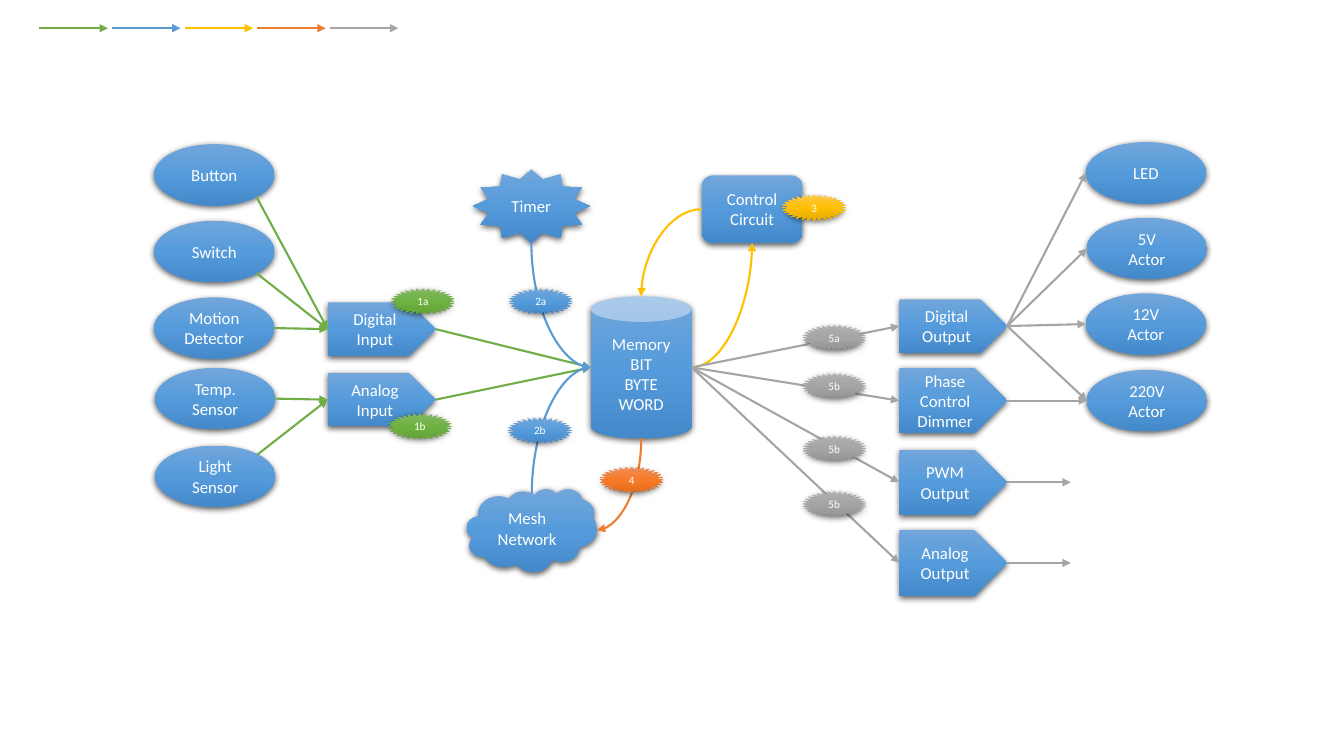
from copy import deepcopy

from lxml.etree import SubElement
from pptx import Presentation
from pptx.dml.color import RGBColor
from pptx.enum.shapes import MSO_CONNECTOR, MSO_SHAPE
from pptx.enum.text import MSO_ANCHOR, PP_ALIGN
from pptx.oxml.ns import qn
from pptx.util import Inches, Pt

WHITE = RGBColor(0xFF, 0xFF, 0xFF)

# Line colours
GREEN = RGBColor(0x70, 0xAD, 0x47)
BLUE = RGBColor(0x5B, 0x9B, 0xD5)
YELLOW = RGBColor(0xFF, 0xC0, 0x00)
ORANGE = RGBColor(0xED, 0x7D, 0x31)
GREY = RGBColor(0xA5, 0xA5, 0xA5)

# Top, middle and bottom of each gradient fill
GRADIENTS = {
    GREEN: (RGBColor(0x81, 0xB8, 0x61), RGBColor(0x6F, 0xB2, 0x42), RGBColor(0x62, 0xA3, 0x36)),
    BLUE: (RGBColor(0x71, 0xA6, 0xDB), RGBColor(0x55, 0x9B, 0xDB), RGBColor(0x44, 0x8A, 0xCA)),
    YELLOW: (RGBColor(0xFF, 0xC6, 0x4B), RGBColor(0xFF, 0xC0, 0x00), RGBColor(0xE3, 0xAB, 0x00)),
    ORANGE: (RGBColor(0xF1, 0x8C, 0x57), RGBColor(0xF6, 0x7B, 0x28), RGBColor(0xE5, 0x6C, 0x19)),
    GREY: (RGBColor(0xAF, 0xAF, 0xAF), RGBColor(0xA5, 0xA5, 0xA5), RGBColor(0x93, 0x93, 0x93)),
}


def spot(shape, across, down):
    """Point at a fraction of the shape's width and height."""
    return (int(shape.left + across * shape.width), int(shape.top + down * shape.height))


class Diagram:
    font_name = "Calibri"
    line_width = Pt(1.5)

    def __init__(self, slide):
        self.slide = slide

    def node(self, kind, text, left, top, width, height, color=BLUE, size=12):
        shape = self.slide.shapes.add_shape(
            kind, Inches(left), Inches(top), Inches(width), Inches(height))
        shape.line.fill.background()
        self.shade(shape, color)
        self.cast_shadow(shape)
        frame = shape.text_frame
        frame.word_wrap = True
        frame.vertical_anchor = MSO_ANCHOR.MIDDLE
        for index, line in enumerate(text.split("\n")):
            paragraph = frame.add_paragraph() if index else frame.paragraphs[0]
            paragraph.alignment = PP_ALIGN.CENTER
            run = paragraph.add_run()
            run.text = line
            run.font.name = self.font_name
            run.font.size = Pt(size)
            run.font.color.rgb = WHITE
        return shape

    def shade(self, shape, color):
        shape.fill.gradient()
        shape.fill.gradient_angle = 270
        stop_list = shape._element.spPr.find(".//" + qn("a:gsLst"))
        stop_list.insert(1, deepcopy(stop_list[0]))
        for index, stop in enumerate(shape.fill.gradient_stops):
            stop.position = index / 2
            stop.color.rgb = GRADIENTS[color][index]

    def cast_shadow(self, shape):
        shape.shadow.inherit = False
        effects = shape._element.spPr.find(qn("a:effectLst"))
        shadow = SubElement(effects, qn("a:outerShdw"), blurRad=str(Pt(4.5)),
                            dist=str(Pt(1.5)), dir="5400000", algn="ctr", rotWithShape="0")
        black = SubElement(shadow, qn("a:srgbClr"), val="000000")
        SubElement(black, qn("a:alpha"), val="63000")

    def style_arrow(self, connector, color):
        connector.line.color.rgb = color
        connector.line.width = self.line_width
        SubElement(connector.line._get_or_add_ln(), qn("a:tailEnd"), type="triangle")
        SubElement(connector._element.spPr, qn("a:effectLst"))

    def arrow(self, start, end, color):
        """Straight arrow; each end is a point or a block to join."""
        start_point = start if isinstance(start, tuple) else spot(start, 1, 0.5)
        end_point = end if isinstance(end, tuple) else spot(end, 0, 0.5)
        connector = self.slide.shapes.add_connector(
            MSO_CONNECTOR.STRAIGHT, *start_point, *end_point)
        if start is not start_point:
            connector.begin_connect(start, 3)
        if end is not end_point:
            connector.end_connect(end, 1)
        self.style_arrow(connector, color)

    def curve(self, start, end, color, leaves_vertically=False):
        """Quarter bend; a vertical start is a horizontal one turned by 90 degrees."""
        (x1, y1), (x2, y2) = start, end
        if leaves_vertically:
            middle_x, middle_y = (x1 + x2) // 2, (y1 + y2) // 2
            half_x, half_y = (x2 - x1) // 2, (y2 - y1) // 2
            x1, x2 = middle_x - half_y, middle_x + half_y
            y1, y2 = middle_y + half_x, middle_y - half_x
        connector = self.slide.shapes.add_connector(MSO_CONNECTOR.CURVE, x1, y1, x2, y2)
        properties = connector._element.spPr
        properties.find(qn("a:prstGeom")).set("prst", "curvedConnector2")
        if leaves_vertically:
            properties.find(qn("a:xfrm")).set("rot", "5400000")
        self.style_arrow(connector, color)

    def oval(self, text, left, top):
        return self.node(MSO_SHAPE.OVAL, text, left, top, 1.19, 0.61)

    def block(self, text, left, top, height):
        return self.node(MSO_SHAPE.PENTAGON, text, left, top, 1.07, height)

    def badge(self, text, left, top, color):
        self.node(MSO_SHAPE.STAR_32_POINT, text, left, top, 0.63, 0.26, color, 8)


def main():
    presentation = Presentation()
    presentation.slide_width = Inches(13.33)
    presentation.slide_height = Inches(7.5)
    slide = presentation.slides.add_slide(presentation.slide_layouts[6])
    diagram = Diagram(slide)

    # Inputs
    button = diagram.oval("Button", 1.53, 1.43)
    switch = diagram.oval("Switch", 1.53, 2.19)
    motion = diagram.oval("Motion Detector", 1.53, 2.95)
    temperature = diagram.oval("Temp. Sensor", 1.54, 3.65)
    light = diagram.oval("Light Sensor", 1.54, 4.42)
    digital_input = diagram.block("Digital Input", 3.25, 3, 0.53)
    analog_input = diagram.block("Analog Input", 3.25, 3.7, 0.53)

    # Memory and its partners
    memory = diagram.node(MSO_SHAPE.CAN, "Memory\nBIT\nBYTE\nWORD", 5.86, 2.94, 1, 1.41)
    timer = diagram.node(MSO_SHAPE.STAR_12_POINT, "Timer", 4.69, 1.68, 1.16, 0.73)
    mesh = diagram.node(MSO_SHAPE.CLOUD, "Mesh\nNetwork", 4.63, 4.85, 1.29, 0.82)
    control = diagram.node(MSO_SHAPE.FLOWCHART_ALTERNATE_PROCESS, "Control Circuit",
                           6.96, 1.74, 1, 0.67)

    # Outputs
    digital_output = diagram.block("Digital Output", 8.92, 2.97, 0.53)
    dimmer = diagram.block("Phase Control\nDimmer", 8.92, 3.65, 0.65)
    pwm_output = diagram.block("PWM Output", 8.92, 4.46, 0.65)
    analog_output = diagram.block("Analog Output", 8.92, 5.26, 0.65)
    actors = [diagram.oval(text, left, top) for text, left, top in (
        ("LED", 10.77, 1.41), ("5V\nActor", 10.78, 2.16),
        ("12V\nActor", 10.77, 2.91), ("220V\nActor", 10.78, 3.67))]

    # Input arrows
    memory_in, memory_out = spot(memory, 0, 0.5), spot(memory, 1, 0.5)
    for source, across, down, target in (
            (button, 0.85, 0.85, digital_input), (switch, 0.85, 0.85, digital_input),
            (motion, 1, 0.5, digital_input), (temperature, 1, 0.5, analog_input),
            (light, 0.85, 0.15, analog_input)):
        diagram.arrow(spot(source, across, down), target, GREEN)
    for block in (digital_input, analog_input):
        diagram.arrow(block, memory_in, GREEN)

    # Curves around the memory
    diagram.curve(spot(timer, 0.5, 1), memory_in, BLUE, leaves_vertically=True)
    diagram.curve(spot(mesh, 0.5, 0.06), memory_in, BLUE, leaves_vertically=True)
    diagram.curve(spot(memory, 0.5, 1), spot(mesh, 1, 0.5), ORANGE, leaves_vertically=True)
    diagram.curve(spot(control, 0, 0.5), spot(memory, 0.5, 0), YELLOW)
    diagram.curve(memory_out, spot(control, 0.5, 1), YELLOW)

    # Output arrows
    for block in (digital_output, dimmer, pwm_output, analog_output):
        diagram.arrow(memory_out, block, GREY)
    for actor in actors:
        diagram.arrow(digital_output, spot(actor, 0, 0.5), GREY)
    diagram.arrow(dimmer, spot(actors[-1], 0, 0.5), GREY)
    for block in (pwm_output, analog_output):
        diagram.arrow(block, (Inches(10.62), spot(block, 1, 0.5)[1]), GREY)

    # Colour key
    for index, color in enumerate((GREEN, BLUE, YELLOW, ORANGE, GREY)):
        left = 0.39 + 0.72 * index
        diagram.arrow((Inches(left), Inches(0.28)), (Inches(left + 0.68), Inches(0.28)), color)

    # Step badges
    for text, left, top, color in (
            ("1a", 3.88, 2.86, GREEN), ("1b", 3.85, 4.1, GREEN),
            ("2a", 5.05, 2.86, BLUE), ("2b", 5.04, 4.14, BLUE),
            ("3", 7.76, 1.93, YELLOW), ("4", 5.95, 4.63, ORANGE),
            ("5a", 7.96, 3.22, GREY), ("5b", 7.96, 3.7, GREY),
            ("5b", 7.96, 4.32, GREY), ("5b", 7.96, 4.87, GREY)):
        diagram.badge(text, left, top, color)

    presentation.save("out.pptx")


if __name__ == "__main__":
    main()
